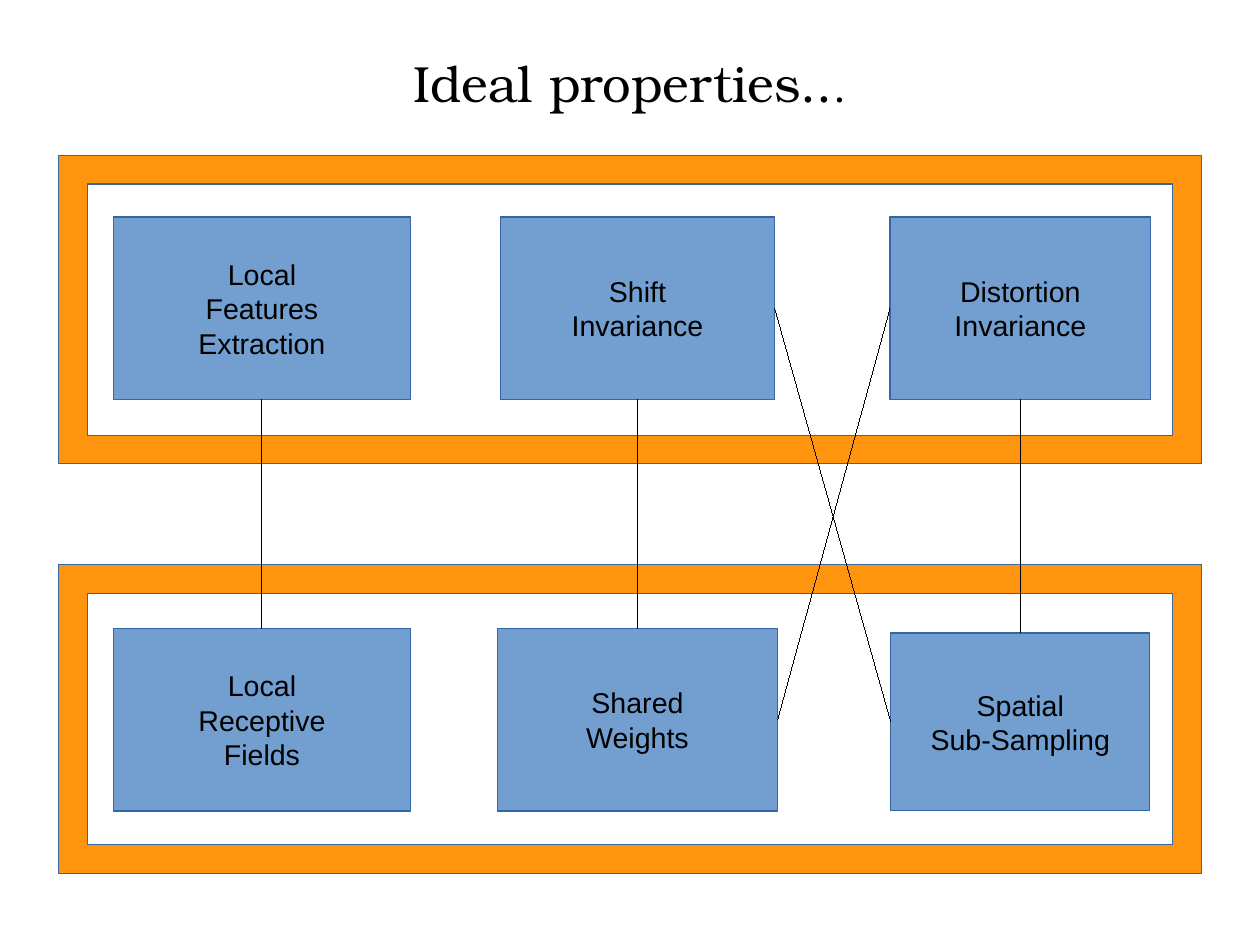
"""Draw ideal properties and the network traits that bring them about."""
from dataclasses import dataclass

from lxml import etree
from pptx import Presentation
from pptx.dml.color import RGBColor
from pptx.enum.shapes import MSO_CONNECTOR, MSO_SHAPE
from pptx.enum.text import MSO_ANCHOR, MSO_AUTO_SIZE, PP_ALIGN
from pptx.oxml.ns import qn
from pptx.util import Cm, Pt

RECT, FRAME = MSO_SHAPE.RECTANGLE, MSO_SHAPE.FRAME
LINE = MSO_CONNECTOR.STRAIGHT
CENTER, MIDDLE = PP_ALIGN.CENTER, MSO_ANCHOR.MIDDLE
GROW = MSO_AUTO_SIZE.SHAPE_TO_FIT_TEXT
TOP, LEFT, BOTTOM, RIGHT = range(4)

WIDE, HIGH = Cm(28), Cm(21)
COLORS = {"text": "000000", "box": "729FCF", "edge": "3465A4", "frame": "FF950E"}
TITLE_FONT, BODY_FONT = "TeX Gyre Bonum", "Arial"
TITLE_RUNS = (("Ideal properties..", 32), (".", 26))
COLUMNS = (20.79, 50.6, 80.98)
ROWS = (22.96, 66.49)
BOX_HIGH = 19.33
FRAME_TOPS = (16.44, 59.75)


@dataclass(frozen=True)
class Box:
    """A labelled box on the grid, sized in percent of the slide."""
    key: str
    column: int
    row: int
    width: float
    lines: tuple[str, ...]
    drop: float = 0


@dataclass(frozen=True)
class Link:
    """A line from one side of a box to a side of another."""
    start: str
    side: int
    end: str
    target: int


BOXES = (
    Box("local", 0, 0, 23.59, ("Local", "Features", "Extraction")),
    Box("shift", 1, 0, 21.78, ("Shift", "Invariance")),
    Box("distort", 2, 0, 20.69, ("Distortion", "Invariance")),
    Box("fields", 0, 1, 23.59, ("Local", "Receptive", "Fields")),
    Box("weights", 1, 1, 22.23, ("Shared", "Weights")),
    Box("sample", 2, 1, 20.55, ("Spatial", "Sub-Sampling"), 0.49),
)
LINKS = (
    Link("shift", RIGHT, "sample", LEFT),
    Link("weights", RIGHT, "distort", LEFT),
    Link("fields", TOP, "local", BOTTOM),
    Link("weights", TOP, "shift", BOTTOM),
    Link("sample", TOP, "distort", BOTTOM),
)


def place(left: float, top: float, width: float, height: float) -> tuple[int, ...]:
    """Turn percent of the slide into lengths."""
    return tuple(round(share * size / 100) for share, size in
                 zip((left, top, width, height), (WIDE, HIGH, WIDE, HIGH)))


def tint(name: str) -> RGBColor:
    """Look up a colour."""
    return RGBColor.from_string(COLORS[name])


def add_run(para, text: str, size: float, font: str) -> None:
    """Add one run of centred text."""
    para.alignment = CENTER
    run = para.add_run()
    run.text = text
    run.font.size, run.font.name = Pt(size), font
    run.font.color.rgb = tint("text")


def add_title(slide) -> None:
    """Move and fill the title."""
    title = slide.shapes.title
    title.left, title.top, title.width, title.height = place(4.99, 3.99, 90, 9.31)
    frame = title.text_frame
    frame.margin_left = frame.margin_right = frame.margin_top = frame.margin_bottom = 0
    frame.vertical_anchor, frame.auto_size = MIDDLE, GROW
    for text, size in TITLE_RUNS:
        add_run(frame.paragraphs[0], text, size, TITLE_FONT)


def add_shape(slide, kind, area: tuple[int, ...], fill: str):
    """Add a filled shape with a hairline edge."""
    shape = slide.shapes.add_shape(kind, *area)
    shape.shadow.inherit = False
    shape.fill.solid()
    shape.fill.fore_color.rgb = tint(fill)
    shape.line.color.rgb = tint("edge")
    shape.line.width = Pt(0)
    return shape


def add_box(slide, box: Box):
    """Add a box centred on its column."""
    area = place(COLUMNS[box.column] - box.width / 2, ROWS[box.row] + box.drop,
                 box.width, BOX_HIGH - box.drop)
    shape = add_shape(slide, RECT, area, "box")
    frame = shape.text_frame
    frame.word_wrap, frame.vertical_anchor = False, MIDDLE
    for index, text in enumerate(box.lines):
        para = frame.add_paragraph() if index else frame.paragraphs[0]
        add_run(para, text, 18, BODY_FONT)
    return shape


def add_link(slide, link: Link, shapes: dict) -> None:
    """Join two boxes with a hairline free of the theme's width."""
    line = slide.shapes.add_connector(LINE, 0, 0, 0, 0)
    line.begin_connect(shapes[link.start], link.side)
    line.end_connect(shapes[link.end], link.target)
    line.line.color.rgb = tint("text")
    line.line.width = Pt(0)
    node = line._element
    node.remove(node.find(qn("p:style")))
    etree.SubElement(node.spPr, qn("a:effectLst"))


def main() -> None:
    """Build and save the slide."""
    deck = Presentation()
    deck.slide_width, deck.slide_height = WIDE, HIGH
    slide = deck.slides.add_slide(deck.slide_layouts[5])
    add_title(slide)
    shapes = {box.key: add_box(slide, box) for box in BOXES}
    for top in FRAME_TOPS:
        frame = add_shape(slide, FRAME, place(4.66, top, 90.7, 32.65), "frame")
        frame.adjustments[0] = 0.093
    for link in LINKS:
        add_link(slide, link, shapes)
    deck.save("out.pptx")


if __name__ == "__main__":
    main()
